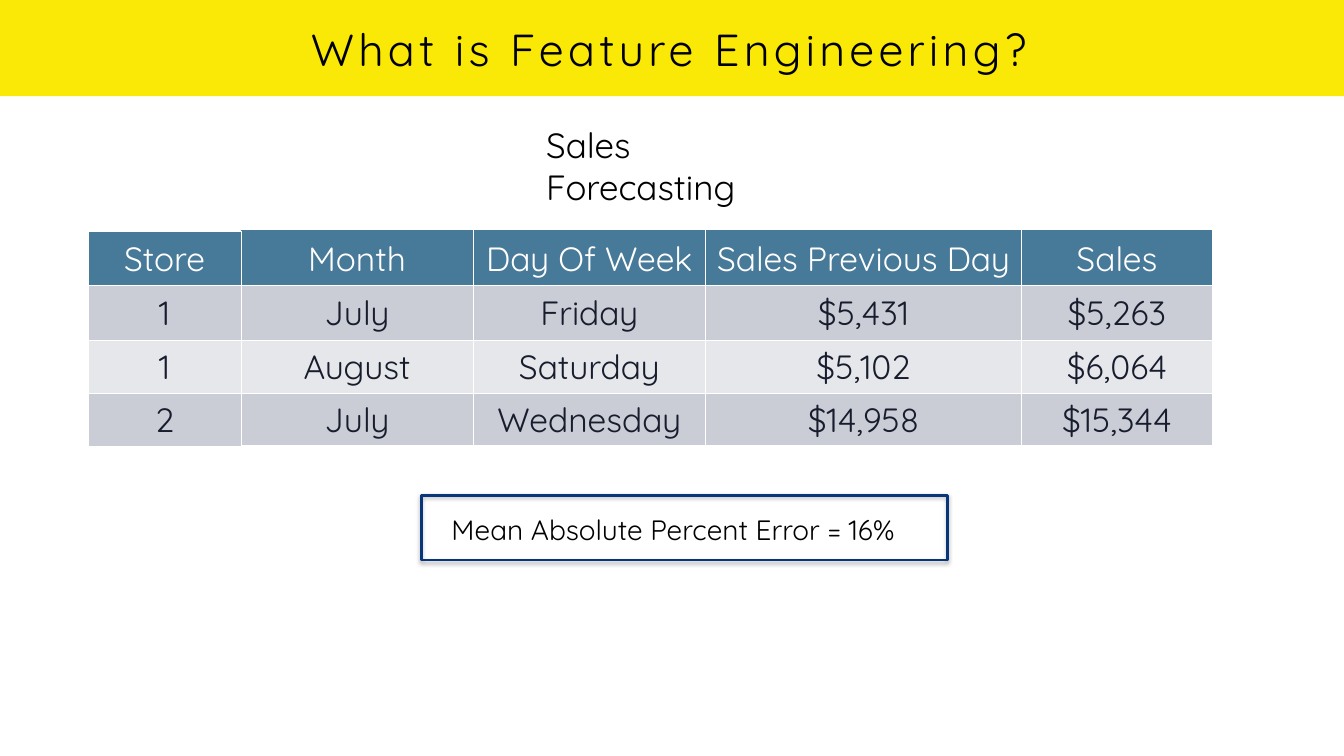
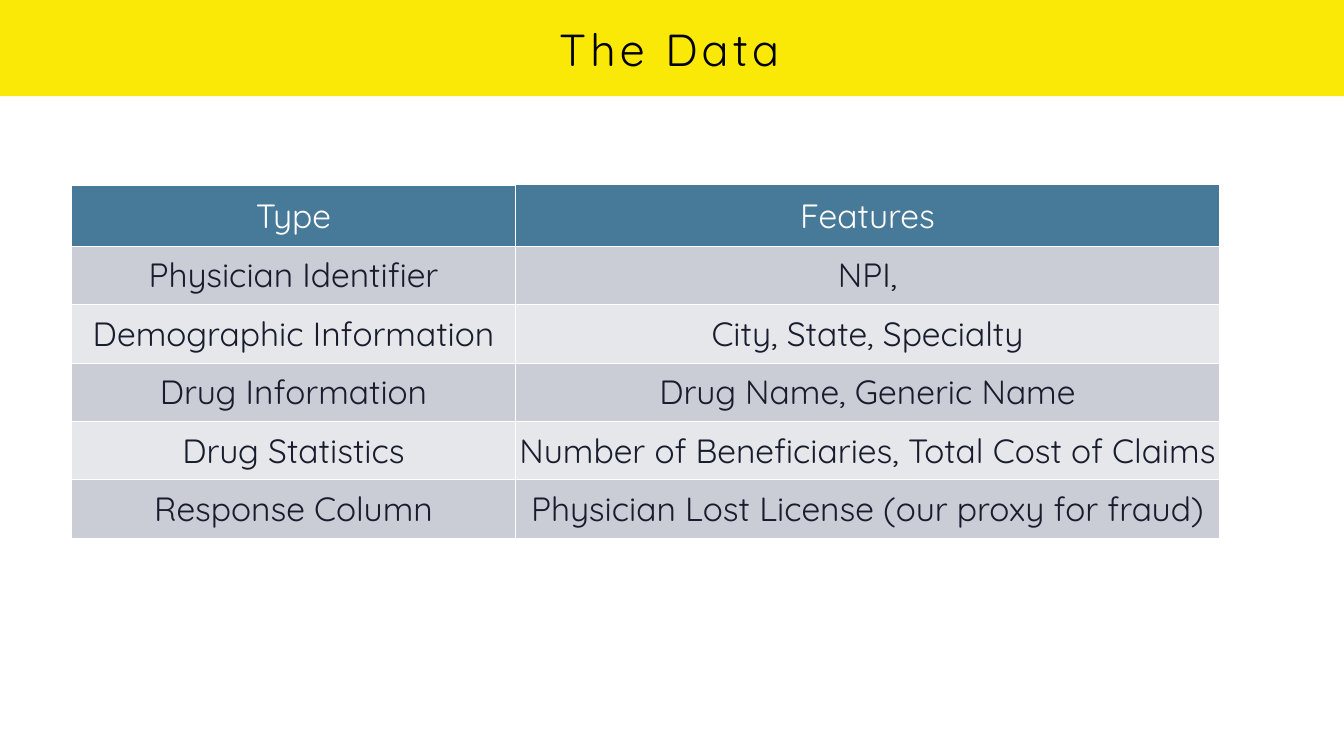
"""Build two slides on feature engineering and the data behind it."""
from lxml.etree import SubElement
from pptx import Presentation
from pptx.dml.color import RGBColor
from pptx.enum.shapes import MSO_SHAPE as SHAPE
from pptx.enum.text import MSO_ANCHOR as ANCHOR, PP_ALIGN as ALIGN
from pptx.oxml import parse_xml
from pptx.oxml.ns import nsdecls, qn
from pptx.util import Inches, Pt

FONT = "Quicksand"
WHITE = RGBColor(0xFF, 0xFF, 0xFF)
BLACK = RGBColor(0, 0, 0)
YELLOW = RGBColor(0xFA, 0xE8, 0x07)
TEAL = RGBColor(0x47, 0x79, 0x98)
INK = RGBColor(0x18, 0x1D, 0x2D)
NAVY = RGBColor(0x07, 0x37, 0x79)
STRIPES = (RGBColor(0xE6, 0xE7, 0xEB), RGBColor(0xCA, 0xCC, 0xD6))


class Deck:
    def __init__(self):
        self.prs = Presentation()
        self.prs.slide_width = Inches(26.67)
        self.prs.slide_height = Inches(15)
        self.layout = self.prs.slide_layouts[5]
        self.s = None

    def place(self, sp, box):
        sp.left, sp.top, sp.width, sp.height = map(Inches, box)

    def fill_text(self, tf, text, size, color, align=ALIGN.LEFT, inset=0.06):
        tf.text = text
        tf.word_wrap = True
        tf.vertical_anchor = ANCHOR.MIDDLE
        tf.margin_left = tf.margin_right = Inches(inset)
        tf.margin_top = tf.margin_bottom = Inches(inset)
        self.style(tf.paragraphs[0], size, color, align)

    def style(self, p, size, color, align):
        p.alignment = align
        for r in p.runs:
            r.font.name = FONT
            r.font.size = Pt(size)
            r.font.bold = False
            r.font.color.rgb = color

    def slide(self, title):
        self.s = self.prs.slides.add_slide(self.layout)
        if len(self.prs.slides) == 1:
            self.band()
        sp = self.s.shapes.title
        self.place(sp, (0.6, -0.01, 25.36, 1.93))
        self.fill_text(sp.text_frame, title, 64, BLACK, ALIGN.CENTER, 0.1)
        for r in sp.text_frame.paragraphs[0].runs:
            r._r.get_or_add_rPr().set("spc", "600")

    def band(self):
        sp = self.s.shapes.add_shape(SHAPE.RECTANGLE, Inches(-0.01), 0,
                                     Inches(26.69), Inches(1.91))
        sp.shadow.inherit = False
        sp.fill.solid()
        sp.fill.fore_color.rgb = YELLOW
        sp.line.fill.background()
        self.layout.shapes.element.insert(2, sp.element)

    def text(self, text, box, size):
        sp = self.s.shapes.add_textbox(*map(Inches, box))
        self.fill_text(sp.text_frame, text, size, BLACK)

    def frame(self, box):
        sp = self.s.shapes.add_shape(SHAPE.RECTANGLE, *map(Inches, box))
        sp.fill.background()
        sp.line.color.rgb = NAVY
        sp.line.width = Pt(4)
        sp.element.spPr.append(parse_xml(
            f'<a:effectLst {nsdecls("a")}><a:outerShdw blurRad="{Pt(6)}" dist="{Pt(3)}" '
            'dir="5400000" rotWithShape="0"><a:srgbClr val="000000">'
            '<a:alpha val="35000"/></a:srgbClr></a:outerShdw></a:effectLst>'))

    def table(self, left, top, widths, heights, rows):
        gf = self.s.shapes.add_table(
            len(rows), len(widths), Inches(left), Inches(top),
            Inches(sum(widths)), Inches(sum(heights)))
        tb = gf.table
        for col, width in zip(tb.columns, widths):
            col.width = Inches(width)
        for row, height in zip(tb.rows, heights):
            row.height = Inches(height)
        for i, row in enumerate(rows):
            for j, value in enumerate(row):
                self.cell(tb.cell(i, j), value, i == 0, STRIPES[i % 2])
                self.borders(tb.cell(i, j), i, j, len(rows) - 1, len(row) - 1)

    def cell(self, cell, value, header, stripe):
        cell.text = value
        cell.vertical_anchor = ANCHOR.MIDDLE
        cell.margin_left = cell.margin_right = 0
        cell.margin_top = cell.margin_bottom = 0
        cell.fill.solid()
        cell.fill.fore_color.rgb = TEAL if header else stripe
        self.style(cell.text_frame.paragraphs[0], 48,
                   WHITE if header else INK, ALIGN.CENTER)

    def borders(self, cell, i, j, last_row, last_col):
        edges = {"R": (WHITE, 2 if j == last_col else 1)}
        if j:
            edges["L"] = (WHITE, 1)
        if i:
            edges["T"] = (WHITE, 1)
        elif j:
            edges["T"] = (TEAL, 3)
        if i < last_row:
            edges["B"] = (WHITE, 1)
        elif j:
            edges["B"] = (WHITE, 2)
        tcPr = cell._tc.get_or_add_tcPr()
        sides = [side for side in "LRTB" if side in edges]
        for n, side in enumerate(sides):
            color, width = edges[side]
            ln = SubElement(tcPr, qn(f"a:ln{side}"), w=str(Pt(width)))
            fill = SubElement(ln, qn("a:solidFill"))
            SubElement(fill, qn("a:srgbClr"), val=str(color))
            tcPr.insert(n, ln)


def main():
    deck = Deck()

    deck.slide("What is Feature Engineering?")
    deck.table(1.75, 4.59, [3.03, 4.61, 4.61, 6.27, 3.79], [1.08, 1.08, 1.05, 1.05], [
        ("Store", "Month", "Day Of Week", "Sales Previous Day", "Sales"),
        ("1", "July", "Friday", "$5,431", "$5,263"),
        ("1", "August", "Saturday", "$5,102", "$6,064"),
        ("2", "July", "Wednesday", "$14,958", "$15,344"),
    ])
    deck.text("Sales Forecasting", (10.78, 2.8, 5.64, 0.95), 50)
    deck.text("Mean Absolute Percent Error = 16%", (8.9, 10.1, 9.4, 0.79), 40)
    deck.frame((8.36, 9.83, 10.44, 1.28))

    deck.slide("The Data")
    deck.table(1.42, 3.68, [8.81, 13.97], [1.2] + [1.16] * 5, [
        ("Type", "Features"),
        ("Physician Identifier", "NPI,"),
        ("Demographic Information", "City, State, Specialty"),
        ("Drug Information", "Drug Name, Generic Name"),
        ("Drug Statistics", "Number of Beneficiaries, Total Cost of Claims"),
        ("Response Column", "Physician Lost License (our proxy for fraud)"),
    ])

    deck.prs.save("out.pptx")


if __name__ == "__main__":
    main()
